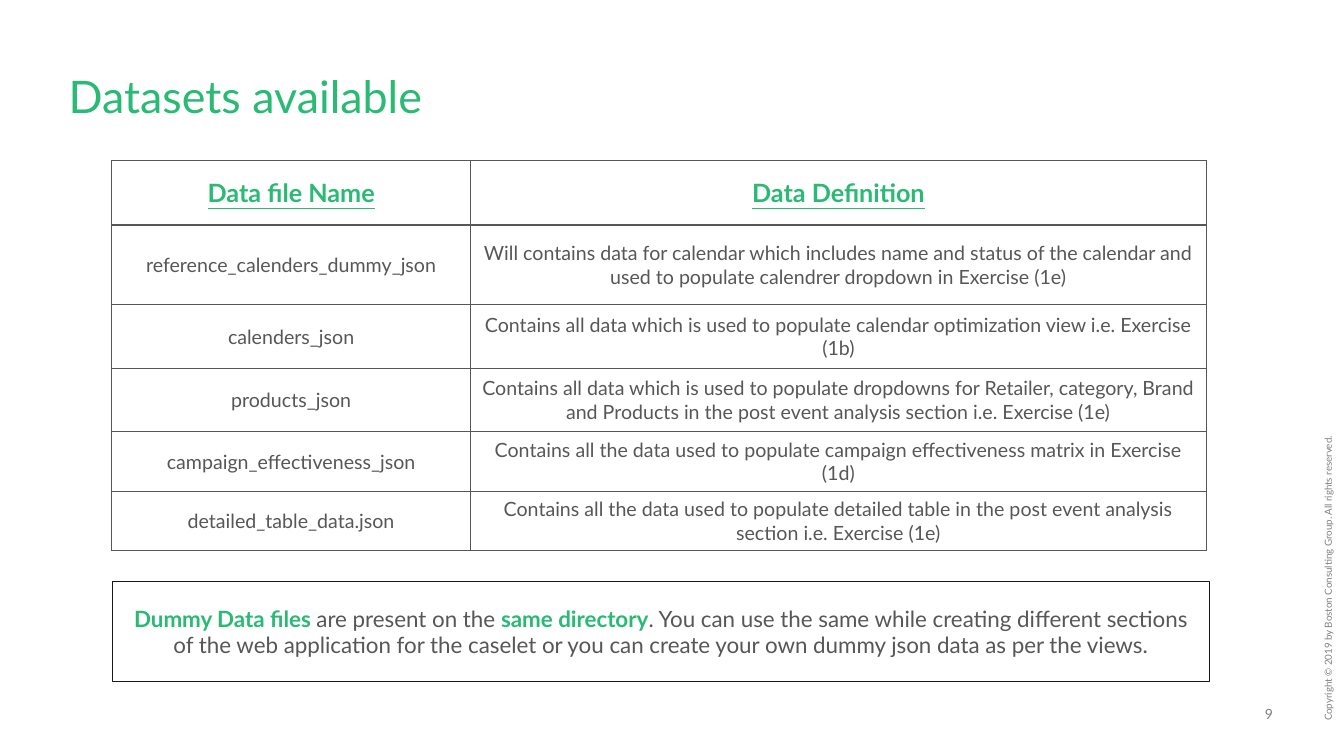
"""Build the slide that lists the available datasets."""
from dataclasses import dataclass

from lxml.etree import SubElement
from pptx import Presentation
from pptx.dml.color import RGBColor
from pptx.enum.shapes import MSO_SHAPE
from pptx.enum.text import MSO_ANCHOR as ANCHOR, PP_ALIGN as ALIGN
from pptx.oxml.ns import qn
from pptx.util import Cm, Pt

FONT = "Lato"
COLORS = {"green": "29BA74", "text": "575757", "muted": "808080", "outline": "181818"}


@dataclass(frozen=True)
class Style:
    size: float
    color: str
    bold: bool = False
    underline: bool = False


@dataclass(frozen=True)
class Label:
    text: str
    left: float
    top: float
    width: float
    height: float
    style: Style
    align: ALIGN = ALIGN.LEFT
    anchor: ANCHOR = ANCHOR.TOP
    rotation: float = 0
    line_spacing: float = 1.0


@dataclass(frozen=True)
class Dataset:
    name: str
    definition: str
    height: float


HEADER = Style(18, "green", bold=True, underline=True)
BODY = Style(14, "text")
NOTE = Style(16, "text")
NOTE_KEY = Style(16, "green", bold=True)

LABELS = [
    Label("Datasets available", 1.73, 1.88, 30.38, 1.22, Style(32, "green"), line_spacing=0.9),
    Label("9", 31.01, 17.78, 1.07, 0.43, Style(10, "muted"), ALIGN.RIGHT, ANCHOR.BOTTOM),
    Label("Copyright © 2019 by Boston Consulting Group. All rights reserved.",
          26.37, 10.9, 14.25, 0.28, Style(7, "muted"), rotation=270, line_spacing=0.9),
]

COLUMN_WIDTHS = [9.04, 18.54]
ROWS = [
    Dataset("Data file Name", "Data Definition", 1.63),
    Dataset("reference_calenders_dummy_json",
            "Will contains data for calendar which includes name and status of the calendar "
            "and used to populate calendrer dropdown in Exercise (1e)", 2.01),
    Dataset("calenders_json",
            "Contains all data which is used to populate calendar optimization view "
            "i.e. Exercise (1b)", 1.6),
    Dataset("products_json",
            "Contains all data which is used to populate dropdowns for Retailer, category, "
            "Brand and Products in the post event analysis section i.e. Exercise (1e)", 1.6),
    Dataset("campaign_effectiveness_json",
            "Contains all the data used to populate campaign effectiveness matrix "
            "in Exercise (1d)", 1.5),
    Dataset("detailed_table_data.json",
            "Contains all the data used to populate detailed table in the post event "
            "analysis section i.e. Exercise (1e)", 1.5),
]

NOTE_RUNS = [
    ("Dummy Data files ", NOTE_KEY),
    ("are present on the ", NOTE),
    ("same directory", NOTE_KEY),
    (". You can use the same while creating different sections of the web application "
     "for the caselet or you can create your own dummy json data as per the views.", NOTE),
]


def rgb(name: str) -> RGBColor:
    return RGBColor.from_string(COLORS[name])


def format_run(r, style: Style) -> None:
    r.font.name = FONT
    r.font.size = Pt(style.size)
    r.font.bold = style.bold
    r.font.underline = style.underline
    r.font.color.rgb = rgb(style.color)


def add_label(slide, label: Label) -> None:
    sp = slide.shapes.add_textbox(
        Cm(label.left), Cm(label.top), Cm(label.width), Cm(label.height))
    sp.rotation = label.rotation
    tf = sp.text_frame
    tf.word_wrap = True
    tf.vertical_anchor = label.anchor
    tf.margin_left = tf.margin_right = tf.margin_top = tf.margin_bottom = 0
    tf.text = label.text
    p = tf.paragraphs[0]
    p.alignment = label.align
    p.line_spacing = label.line_spacing
    format_run(p.runs[0], label.style)


def add_borders(cell, color: str) -> None:
    tc_pr = cell._tc.get_or_add_tcPr()
    for side in ("lnL", "lnR", "lnT", "lnB"):
        ln = SubElement(tc_pr, qn(f"a:{side}"), w=str(Pt(1)))
        fill = SubElement(ln, qn("a:solidFill"))
        SubElement(fill, qn("a:srgbClr"), val=COLORS[color])


def fill_cell(cell, text: str, style: Style) -> None:
    add_borders(cell, "text")
    cell.fill.background()
    cell.vertical_anchor = ANCHOR.MIDDLE
    cell.text_frame.text = text
    p = cell.text_frame.paragraphs[0]
    p.alignment = ALIGN.CENTER
    format_run(p.runs[0], style)


def add_dataset_table(slide) -> None:
    table = slide.shapes.add_table(
        len(ROWS), len(COLUMN_WIDTHS), Cm(2.82), Cm(4.04),
        Cm(sum(COLUMN_WIDTHS)), Cm(sum(row.height for row in ROWS))).table
    table.horz_banding = False
    for column, width in zip(table.columns, COLUMN_WIDTHS):
        column.width = Cm(width)
    for i, row in enumerate(ROWS):
        table.rows[i].height = Cm(row.height)
        for j, text in enumerate((row.name, row.definition)):
            fill_cell(table.cell(i, j), text, BODY if i else HEADER)


def add_note(slide) -> None:
    sp = slide.shapes.add_shape(
        MSO_SHAPE.RECTANGLE, Cm(2.84), Cm(14.66), Cm(27.64), Cm(2.51))
    sp.shadow.inherit = False
    sp.fill.background()
    sp.line.color.rgb = rgb("outline")
    sp.line.width = Pt(0.75)
    tf = sp.text_frame
    tf.word_wrap = True
    tf.vertical_anchor = ANCHOR.MIDDLE
    p = tf.paragraphs[0]
    p.alignment = ALIGN.CENTER
    for text, style in NOTE_RUNS:
        r = p.add_run()
        r.text = text
        format_run(r, style)


def main() -> None:
    prs = Presentation()
    prs.slide_width, prs.slide_height = Cm(33.87), Cm(19.05)
    slide = prs.slides.add_slide(prs.slide_layouts[6])
    for label in LABELS:
        add_label(slide, label)
    add_note(slide)
    add_dataset_table(slide)
    prs.save("out.pptx")


if __name__ == "__main__":
    main()
